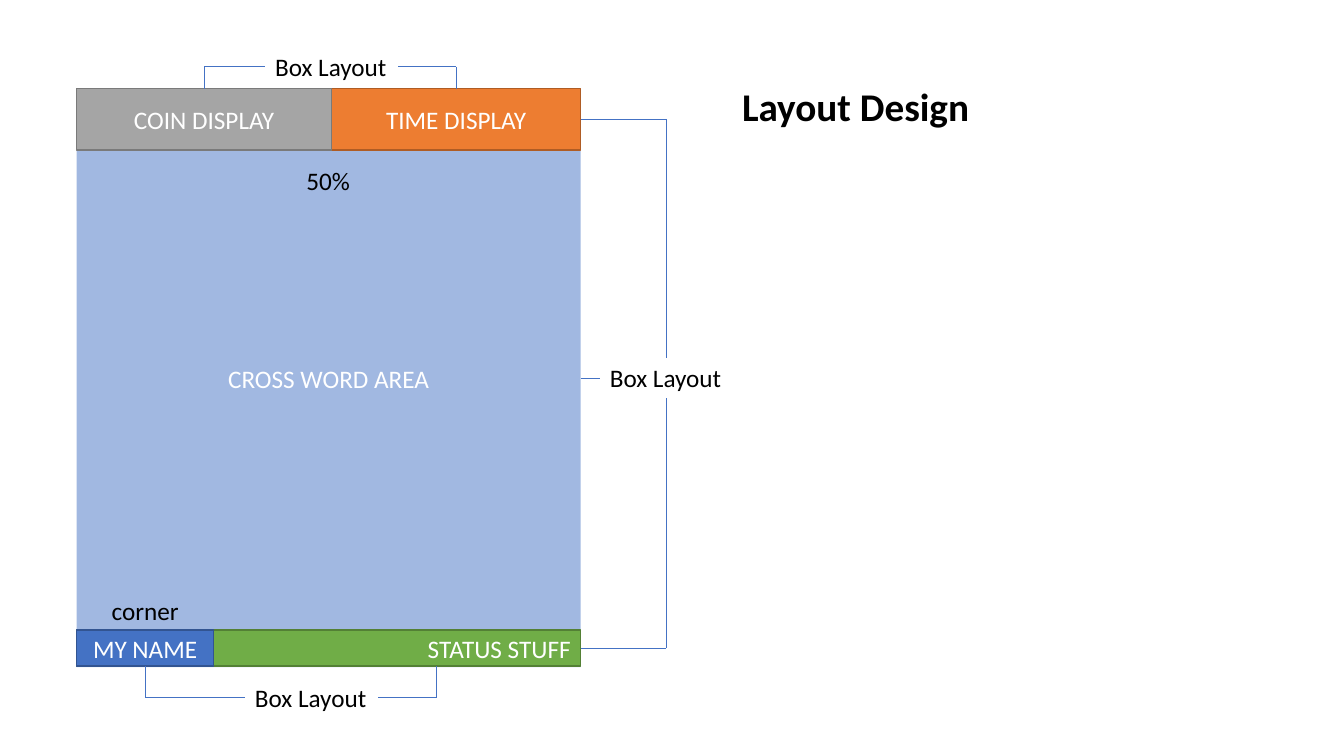
from pptx import Presentation
from pptx import util as u
from pptx.dml.color import RGBColor
from pptx.enum import shapes, text
from pptx.oxml.ns import qn
from lxml import etree

HUES = {"blue": "4472C4", "navy": "325491", "green": "70AD47", "moss": "538035",
        "orange": "ED7D31", "rust": "AF5C24", "gray": "A5A5A5", "slate": "7A7A7A",
        "white": "FFFFFF", "black": "000000"}
LEFT, WIDE = 0.76, 5
TOP, HEAD = 0.88, 0.61
BASE, FOOT = 6.25, 0.36
SPLIT = 2.53
TALL = 5.74
MID, END = text.PP_ALIGN.CENTER, text.PP_ALIGN.RIGHT

PANELS = [
    ("cross", "CROSS WORD AREA", (LEFT, TOP, WIDE, TALL), "blue", None, MID),
    ("status", "STATUS STUFF", (LEFT, BASE, WIDE, FOOT), "green", "moss", END),
    ("time", "TIME DISPLAY", (LEFT + SPLIT, TOP, WIDE - SPLIT, HEAD), "orange", "rust", MID),
    ("coin", "COIN DISPLAY", (LEFT, TOP, SPLIT, HEAD), "gray", "slate", MID),
    ("name", "MY NAME", (LEFT, BASE, 1.36, FOOT), "blue", "navy", MID),
]
LABELS = [
    ("upper", "Box Layout", (2.63, 0.46, 1.32, 0.4)),
    ("right", "Box Layout", (5.95, 3.55, 1.32, 0.4)),
    ("lower", "Box Layout", (2.43, 6.72, 1.32, 0.4)),
    ("corner", "corner", (1.01, 5.86, 0.87, 0.4)),
    ("half", "50%", (2.94, 1.59, 0.64, 0.4)),
]
ELBOWS = [
    (("coin", 0), ("upper", 1)),
    (("time", 0), ("upper", 3)),
    (("time", 3), ("right", 0)),
    (("status", 3), ("right", 2)),
    (("name", 2), ("lower", 1)),
]
STATUS_TAP = (4.33, BASE + FOOT)

deck = Presentation()
deck.slide_width, deck.slide_height = u.Inches(13.33), u.Inches(7.5)
slide = deck.slides.add_slide(deck.slide_layouts[5])
parts = {}


def rgb(hue):
    return RGBColor.from_string(HUES[hue])


def apply(item, form):
    for key, val in form.items():
        setattr(item, key, val)


def write(shape, words, hue, size=18, bold=False, align=None):
    para = shape.text_frame.paragraphs[0]
    para.alignment = align
    run = para.add_run()
    run.text = words
    apply(run.font, {"name": "Calibri", "size": u.Pt(size), "bold": bold})
    run.font.color.rgb = rgb(hue)


def fit(shape):
    apply(shape.text_frame, {"word_wrap": False,
                             "auto_size": text.MSO_AUTO_SIZE.SHAPE_TO_FIT_TEXT,
                             "vertical_anchor": text.MSO_ANCHOR.TOP})


def site(end):
    name, side = end
    box = parts[name]
    across, down = [(1, 0), (0, 1), (1, 2), (2, 1)][side]
    return box.left + box.width * across // 2, box.top + box.height * down // 2


def link(start, stop, first=None, last=None):
    line = slide.shapes.add_connector(shapes.MSO_CONNECTOR.STRAIGHT, *start, *stop)
    if first:
        line.begin_connect(parts[first[0]], first[1])
    if last:
        line.end_connect(parts[last[0]], last[1])
    line.line.color.rgb = rgb("blue")
    line.line.width = u.Pt(0.5)
    etree.SubElement(line._element.spPr, qn("a:effectLst"))


for name, words, spot, fill, edge, align in PANELS:
    box = slide.shapes.add_shape(shapes.MSO_SHAPE.RECTANGLE, *map(u.Inches, spot))
    parts[name] = box
    box.shadow.inherit = False
    box.fill.solid()
    box.fill.fore_color.rgb = rgb(fill)
    if edge:
        box.line.color.rgb = rgb(edge)
        box.line.width = u.Pt(1)
    else:
        box.line.fill.background()
    box.text_frame.vertical_anchor = text.MSO_ANCHOR.MIDDLE
    write(box, words, "white", align=align)

tint = parts["cross"]._element.spPr.find(qn("a:solidFill"))[0]
etree.SubElement(tint, qn("a:alpha")).set("val", "50000")

for name, words, spot in LABELS:
    parts[name] = slide.shapes.add_textbox(*map(u.Inches, spot))
    fit(parts[name])
    write(parts[name], words, "black")

for first, last in ELBOWS:
    start, stop = site(first), site(last)
    turn = (stop[0], start[1]) if first[1] == 3 else (start[0], stop[1])
    link(start, turn, first=first)
    link(turn, stop, last=last)

link(site(("cross", 3)), site(("right", 1)), ("cross", 3), ("right", 1))
tap, exit_at = tuple(map(u.Inches, STATUS_TAP)), site(("lower", 3))
turn = tap[0], exit_at[1]
link(tap, turn)
link(turn, exit_at, last=("lower", 3))

title = slide.shapes.title
apply(title, dict(zip(("left", "top", "width", "height"),
                      map(u.Inches, (7.26, 0.77, 2.48, 0.57)))))
fit(title)
write(title, "Layout Design", "black", 28, True, text.PP_ALIGN.LEFT)

deck.save("out.pptx")
